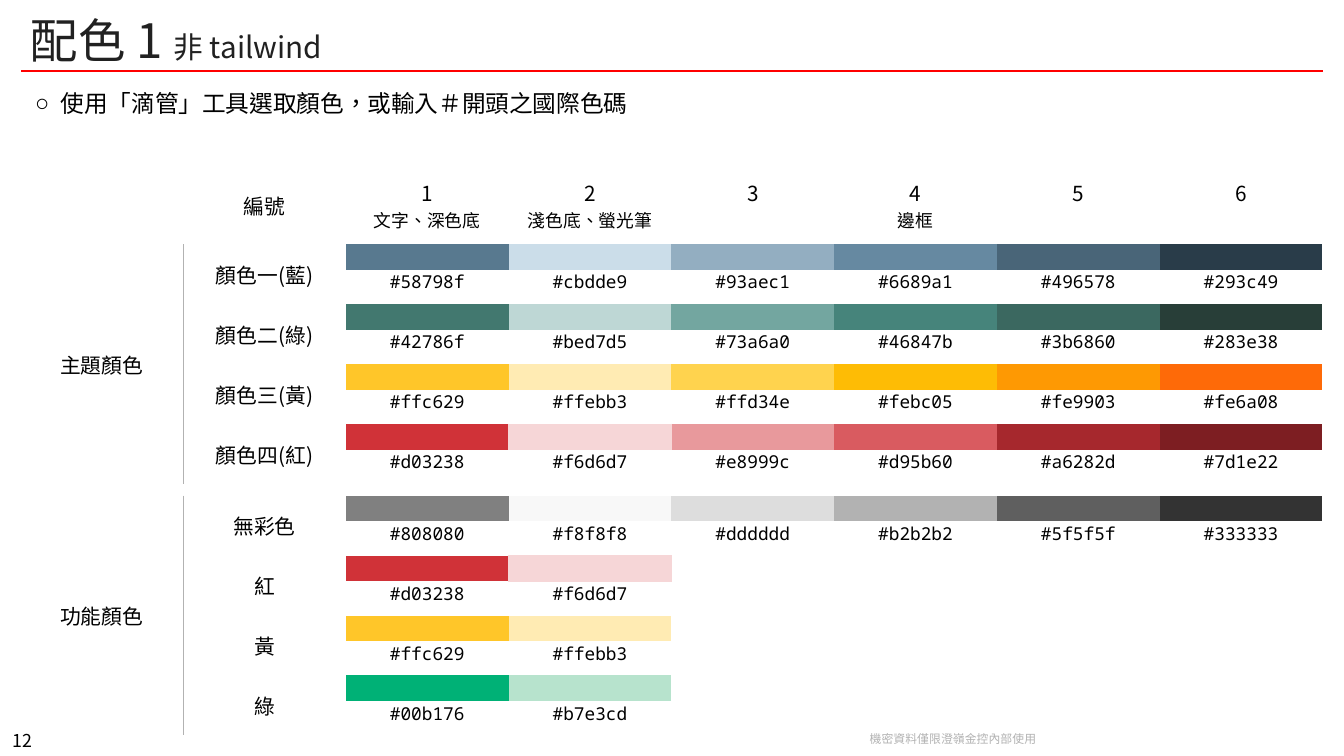
from lxml import etree
from pptx import Presentation
from pptx.dml.color import RGBColor as RGB
from pptx.enum.lang import MSO_LANGUAGE_ID as LANG
from pptx.enum.shapes import MSO_CONNECTOR as LINE
from pptx.enum.text import MSO_ANCHOR as ANCHOR, PP_ALIGN as ALIGN
from pptx.oxml.ns import qn
from pptx.util import Inches, Pt

COLORS = {"text": "000000", "title": "212121", "rule": "FF0000",
          "grey": "B2B2B2", "pink": "F6D6D7"}
TC, SC, MONO = "Noto Sans CJK TC", "Noto Sans CJK SC", "Noto Sans Mono"
NO_STYLE = "{2D5ABB26-0587-4C30-8999-92F81FD0307C}"
LEFT, WIDTH = 0.19, 12.21
HEADER_HEIGHT, GAP_HEIGHT, SWATCH_HEIGHT = 0.73, 0.11, 0.24
CODE_HEIGHT = 2.25 / 4 - SWATCH_HEIGHT

HEADERS = [("1", "文字、深色底"), ("2", "淺色底、螢光筆"), ("3",), ("4", "邊框"), ("5",), ("6",)]
GROUPS = [
    ("主題顏色", [
        ("顏色一(藍)", "58798f cbdde9 93aec1 6689a1 496578 293c49"),
        ("顏色二(綠)", "42786f bed7d5 73a6a0 46847b 3b6860 283e38"),
        ("顏色三(黃)", "ffc629 ffebb3 ffd34e febc05 fe9903 fe6a08"),
        ("顏色四(紅)", "d03238 f6d6d7 e8999c d95b60 a6282d 7d1e22"),
    ]),
    ("功能顏色", [
        ("無彩色", "808080 f8f8f8 dddddd b2b2b2 5f5f5f 333333"),
        ("紅", "d03238 f6d6d7"),
        ("黃", "ffc629 ffebb3"),
        ("綠", "00b176 b7e3cd"),
    ]),
]


class SlideBuilder:
    def __init__(self, prs):
        self.slide = prs.slides.add_slide(prs.slide_layouts[5])

    def add_run(self, p, text, size, color="text", font=TC):
        r = p.add_run()
        r.text = text
        r.font.size = Pt(size)
        r.font.color.rgb = RGB.from_string(COLORS[color])
        r.font.name = font
        r.font.language_id = LANG.TRADITIONAL_CHINESE
        etree.SubElement(r.font._element, qn("a:ea"), typeface=font)

    def title(self, box, runs):
        sp = self.slide.shapes.title
        sp.left, sp.top, sp.width, sp.height = map(Inches, box)
        tf = sp.text_frame
        tf.vertical_anchor = ANCHOR.MIDDLE
        p = tf.paragraphs[0]
        p.alignment = ALIGN.LEFT
        for text, size in runs:
            self.add_run(p, text, size, "title")

    def text(self, box, text, size, color="text", font=TC, wrap=True,
             align=ALIGN.LEFT, anchor=ANCHOR.TOP, spacing=None, bullet=None):
        tf = self.slide.shapes.add_textbox(*map(Inches, box)).text_frame
        tf.word_wrap = wrap
        tf.vertical_anchor = anchor
        p = tf.paragraphs[0]
        p.alignment = align
        if spacing:
            p.line_spacing = spacing
        if bullet:
            pPr = p._p.get_or_add_pPr()
            pPr.set("marL", str(Inches(0.28)))
            pPr.set("indent", str(Inches(-0.24)))
            etree.SubElement(pPr, qn("a:buFont"), typeface=MONO)
            etree.SubElement(pPr, qn("a:buChar"), char=bullet)
        self.add_run(p, text, size, color, font)

    def line(self, x1, y1, x2, y2, color, width):
        c = self.slide.shapes.add_connector(LINE.STRAIGHT, *map(Inches, (x1, y1, x2, y2)))
        c.line.color.rgb = RGB.from_string(COLORS[color])
        c.line.width = Pt(width)
        etree.SubElement(c._element.spPr, qn("a:effectLst"))

    def table(self, box, rows, cols):
        """Add an unstyled table whose empty cells do not stretch the rows."""
        table = self.slide.shapes.add_table(rows, cols, *map(Inches, box)).table
        table.first_row = table.horz_banding = False
        table._tbl.tblPr.find(qn("a:tableStyleId")).text = NO_STYLE
        for cell in table.iter_cells():
            cell.fill.background()
            self.margins(cell, 0, 0)
            etree.SubElement(cell.text_frame.paragraphs[0]._p, qn("a:endParaRPr"), sz="100")
        return table

    def margins(self, cell, top, rest):
        cell.margin_top = Inches(top)
        cell.margin_left = cell.margin_right = cell.margin_bottom = Inches(rest)

    def cell(self, cell, lines, top=0.1, anchor=ANCHOR.TOP, font=TC):
        """Fill a cell with centred (text, size) lines."""
        self.margins(cell, top, 0.1)
        cell.vertical_anchor = anchor
        tf = cell.text_frame
        for i, (text, size) in enumerate(lines):
            p = tf.add_paragraph() if i else tf.paragraphs[0]
            p.alignment = ALIGN.CENTER
            self.add_run(p, text, size, font=font)

    def borders(self, cell, sides, color):
        """Draw the given sides, listed in the order L, R, T, B."""
        tcPr = cell._tc.get_or_add_tcPr()
        for i, side in enumerate(sides):
            ln = etree.Element(qn(f"a:ln{side}"), w=str(Pt(0.75)))
            fill = etree.SubElement(ln, qn("a:solidFill"))
            etree.SubElement(fill, qn("a:srgbClr"), val=COLORS[color])
            tcPr.insert(i, ln)

    def swatch(self, table, row, col, code):
        cell = table.cell(row, col)
        cell.fill.solid()
        cell.fill.fore_color.rgb = RGB.from_string(code.upper())
        if code.upper() == COLORS["pink"]:
            self.borders(cell, "LRTB", "pink")
        self.cell(table.cell(row + 1, col), [(f"#{code}", 12)], top=0, font=MONO)

    def palette(self, box):
        heights = [HEADER_HEIGHT]
        for i, (_, colors) in enumerate(GROUPS):
            heights += [GAP_HEIGHT] * (i > 0) + [SWATCH_HEIGHT, CODE_HEIGHT] * len(colors)
        table = self.table(box, len(heights), len(HEADERS) + 2)
        for row, height in zip(table.rows, heights):
            row.height = Inches(height)

        self.cell(table.cell(0, 1), [("編號", 14)], anchor=ANCHOR.MIDDLE)
        for col, lines in enumerate(HEADERS, 2):
            self.cell(table.cell(0, col), list(zip(lines, (14, 12))))

        row = 1
        for group, colors in GROUPS:
            end = row + 2 * len(colors)
            for r in range(row, end):
                self.borders(table.cell(r, 0), "R", "grey")
            table.cell(row, 0).merge(table.cell(end - 1, 0))
            self.cell(table.cell(row, 0), [(group, 14)], anchor=ANCHOR.MIDDLE)
            for r, (name, codes) in zip(range(row, end, 2), colors):
                table.cell(r, 1).merge(table.cell(r + 1, 1))
                self.cell(table.cell(r, 1), [(name, 14)], anchor=ANCHOR.MIDDLE)
                for col, code in enumerate(codes.split(), 2):
                    self.swatch(table, r, col, code)
            row = end + 1


def main():
    prs = Presentation()
    prs.slide_width, prs.slide_height = Inches(12.6), Inches(7.09)
    s = SlideBuilder(prs)
    s.text((0, 6.83, 0.42, 0.26), "12", 12, wrap=False, align=ALIGN.CENTER,
           anchor=ANCHOR.BOTTOM, spacing=0.83)
    s.text((8.04, 6.81, 1.79, 0.23), "機密資料僅限澄嶺金控內部使用", 8, "grey", SC, wrap=False,
           align=ALIGN.CENTER, anchor=ANCHOR.MIDDLE, spacing=Pt(9.6))
    s.line(0.2, 0.67, 12.4, 0.67, "rule", 1.25)
    s.title((LEFT, 0.08, WIDTH, 0.59), [("配色 1 ", 32), ("非 tailwind", 20)])
    s.text((LEFT, 0.78, WIDTH, 0.57), "使用「滴管」工具選取顏色，或輸入＃開頭之國際色碼", 16, bullet="○")
    s.palette((LEFT, 1.56, WIDTH, 5.34))
    prs.save("out.pptx")


if __name__ == "__main__":
    main()
